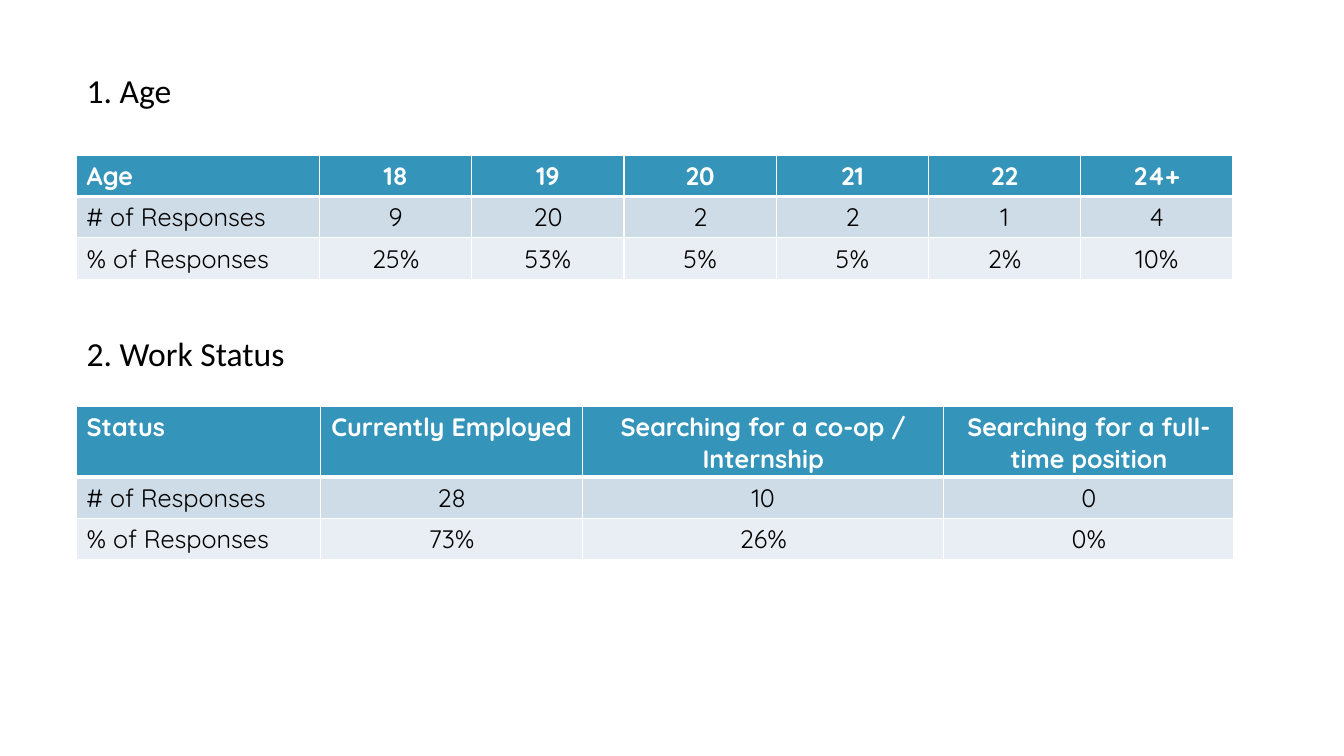
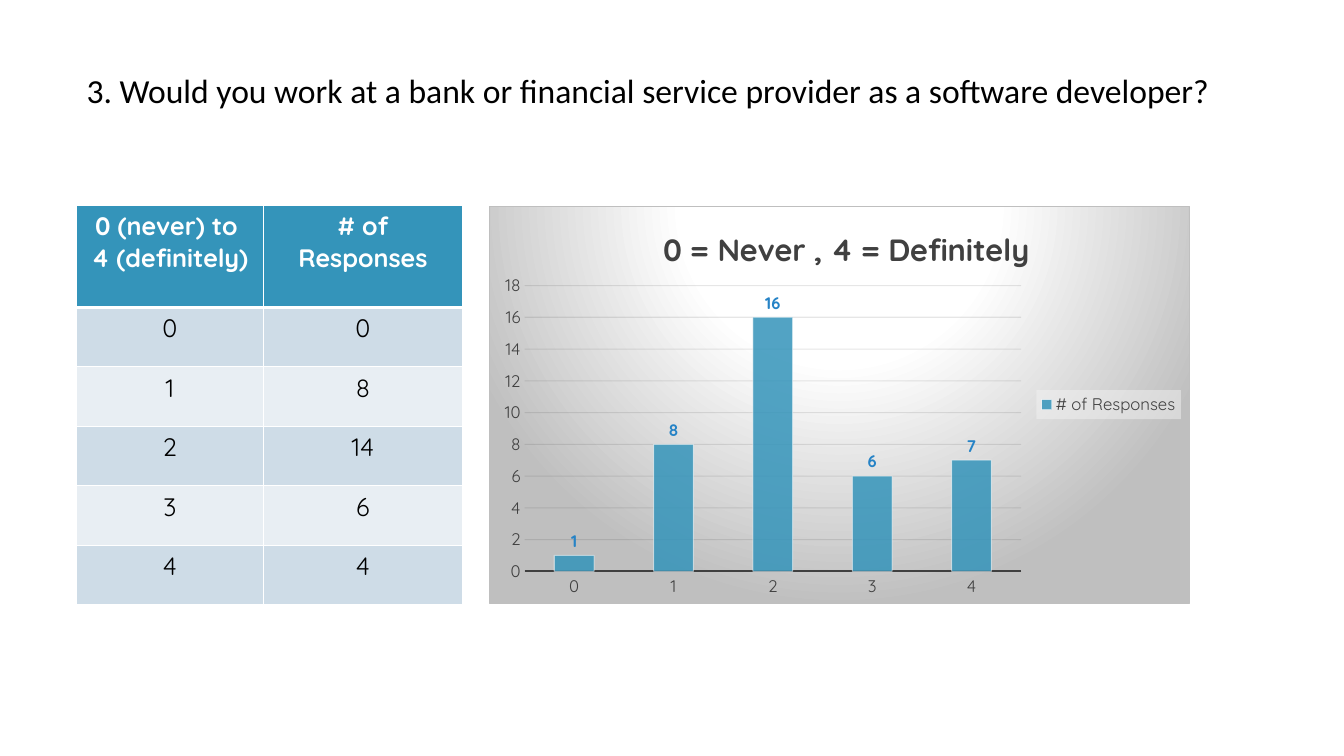
import dataclasses
import pptx
import pptx.chart.data
import pptx.dml.color
import pptx.enum.chart
import pptx.enum.text
import pptx.oxml
import pptx.oxml.ns
import pptx.util

ALIGN = pptx.enum.text.PP_ALIGN
SCALE = 9144


@dataclasses.dataclass(frozen=True)
class Theme:
    head_face: str = "Calibri"
    face: str = "Quicksand"
    head: int = 24
    cell: int = 18
    title: int = 22
    label: int = 12
    ink: str = "000000"
    gray: str = "404040"
    white: str = "FFFFFF"
    teal: str = "3494BA"
    blue: str = "2683C6"
    silver: str = "BFBFBF"
    grid: str = "0D0D0D"
    pale: str = "F2F2F2"
    bands: tuple = ("CEDCE7", "E8EEF3")


THEME = Theme()


def px(size):
    return pptx.util.Emu(size * SCALE)


def rgb(code):
    return pptx.dml.color.RGBColor.from_string(code)


def style(font, size=THEME.label, color=THEME.gray, bold=False, face=THEME.face):
    font.name = face
    font.size = pptx.util.Pt(size)
    font.bold = bold
    font.color.rgb = rgb(color)


def put(frame, text, align=ALIGN.LEFT, **look):
    frame.text = text
    for para in frame.paragraphs:
        para.alignment = align
        for run in para.runs:
            style(run.font, **look)


def stroke(line, color, width):
    line.color.rgb = rgb(color)
    line.width = pptx.util.Pt(width)


def make(tag, body, attrs=""):
    names = pptx.oxml.ns.nsdecls("a", "c")
    return pptx.oxml.parse_xml(f"<{tag} {names} {attrs}>{body}</{tag}>")


def solid(color, alpha=100):
    return (f'<a:solidFill><a:srgbClr val="{color}">'
            f'<a:alpha val="{alpha * 1000}"/></a:srgbClr></a:solidFill>')


def fade(root, query, alpha):
    for color in root.xpath(query + "//a:srgbClr"):
        color.append(make("a:alpha", "", f'val="{alpha * 1000}"'))


def place(node, index, **spots):
    for old in node.xpath("c:layout"):
        node.remove(old)
    body = '<c:layoutTarget val="inner"/>' if "w" in spots else ""
    body += "".join(f'<c:{side}Mode val="edge"/>' for side in "xy")
    body += "".join(f'<c:{key} val="{value}"/>' for key, value in spots.items())
    node.insert(index, make("c:layout", f"<c:manualLayout>{body}</c:manualLayout>"))


class Deck:
    def __init__(self, theme):
        self.theme = theme
        self.file = pptx.Presentation()
        self.file.slide_width = px(1333)
        self.file.slide_height = px(750)
        self.slide = None

    def start(self):
        self.slide = self.file.slides.add_slide(self.file.slide_layouts[6])

    def heading(self, text, top, width, wrap=False):
        box = self.slide.shapes.add_textbox(px(76), px(top), px(width), px(50))
        frame = box.text_frame
        frame.word_wrap = wrap
        frame.auto_size = pptx.enum.text.MSO_AUTO_SIZE.SHAPE_TO_FIT_TEXT
        put(frame, text, size=self.theme.head, color=self.theme.ink,
            face=self.theme.head_face)

    def cell(self, cell, text, row, align):
        theme = self.theme
        top = row == 0
        cell.fill.solid()
        cell.fill.fore_color.rgb = rgb(theme.teal if top else theme.bands[(row - 1) % 2])
        put(cell.text_frame, text, align=align, size=theme.cell, bold=top,
            color=theme.white if top else theme.ink)
        edges = {"L": 1, "R": 1, "T": 3 if row == 1 else 1, "B": 3 if top else 1}
        props = cell._tc.get_or_add_tcPr()
        for index, (side, width) in enumerate(edges.items()):
            props.insert(index, make(f"a:ln{side}", solid(theme.white),
                                     f'w="{width * 12700}"'))

    def table(self, top, widths, heights, rows, first=ALIGN.LEFT):
        grid = self.slide.shapes.add_table(
            len(rows), len(widths), px(76), px(top),
            px(sum(widths)), px(sum(heights))).table
        for col, width in zip(grid.columns, widths):
            col.width = px(width)
        for row, height in zip(grid.rows, heights):
            row.height = px(height)
        for row, texts in enumerate(rows):
            for col, text in enumerate(texts):
                self.cell(grid.cell(row, col), text, row,
                          ALIGN.CENTER if col else first)

    def bars(self, box, title, name, cats, values):
        theme, enum = self.theme, pptx.enum.chart
        data = pptx.chart.data.CategoryChartData()
        data.categories = cats
        data.add_series(name, values)
        chart = self.slide.shapes.add_chart(
            enum.XL_CHART_TYPE.COLUMN_CLUSTERED, *map(px, box), data).chart
        style(chart.font, size=10, color=theme.ink)
        put(chart.chart_title.text_frame, title, align=ALIGN.CENTER,
            size=theme.title, color=theme.gray, bold=True)
        chart.has_legend = True
        chart.legend.position = enum.XL_LEGEND_POSITION.RIGHT
        chart.legend.include_in_layout = False
        style(chart.legend.font)
        for axis in (chart.category_axis, chart.value_axis):
            axis.major_tick_mark = enum.XL_TICK_MARK.NONE
            axis.minor_tick_mark = enum.XL_TICK_MARK.NONE
            style(axis.tick_labels.font)
        stroke(chart.category_axis.format.line, theme.gray, 1.5)
        scale = chart.value_axis
        scale.minimum_scale, scale.maximum_scale, scale.major_unit = 0, 18, 2
        scale.format.line.fill.background()
        stroke(scale.major_gridlines.format.line, theme.grid, 0.75)
        plot = chart.plots[0]
        plot.gap_width = 150
        plot.vary_by_categories = False
        bar = plot.series[0]
        bar.format.fill.solid()
        bar.format.fill.fore_color.rgb = rgb(theme.teal)
        stroke(bar.format.line, theme.white, 0.75)
        labels = bar.data_labels
        labels.show_value = True
        labels.position = enum.XL_LABEL_POSITION.OUTSIDE_END
        style(labels.font, color=theme.blue, bold=True)
        self.finish(chart.element)

    def finish(self, root):
        theme = self.theme
        fade(root, "//c:ser/c:spPr/a:solidFill", 85)
        fade(root, "//c:ser/c:spPr/a:ln", 50)
        fade(root, "//c:majorGridlines", 10)
        place(root.xpath("c:chart/c:title")[0], 1, x=0.24, y=0.04)
        place(root.xpath("c:chart/c:plotArea")[0], 0, x=0.05, y=0.2, w=0.71, h=0.72)
        root.xpath("//c:legend/c:txPr")[0].addprevious(
            make("c:spPr", solid(theme.pale, 50)))
        stops = "".join(
            f'<a:gs pos="{spot * 1000}"><a:srgbClr val="{color}"/></a:gs>'
            for spot, color in ((0, theme.white), (39, theme.white), (100, theme.silver)))
        back = (f'<a:gradFill><a:gsLst>{stops}</a:gsLst><a:path path="circle">'
                '<a:fillToRect l="50000" t="-80000" r="50000" b="180000"/>'
                f'</a:path></a:gradFill><a:ln w="9525">{solid(theme.silver)}</a:ln>')
        root.xpath("c:chart")[0].addnext(make("c:spPr", back))


def main():
    deck = Deck(THEME)
    deck.start()
    deck.heading("1. Age", 64, 105)
    deck.heading("2. Work Status", 325, 218)
    deck.table(154, [241] + [151] * 6, [41] * 3, [
        ("Age", "18", "19", "20", "21", "22", "24+"),
        ("# of Responses", "9", "20", "2", "2", "1", "4"),
        ("% of Responses", "25%", "53%", "5%", "5%", "2%", "10%"),
    ])
    deck.table(403, [242, 260, 358, 288], [70, 41, 41], [
        ("Status", "Currently Employed", "Searching for a co-op / Internship",
         "Searching for a full-time position"),
        ("# of Responses", "28", "10", "0"),
        ("% of Responses", "73%", "26%", "0%"),
    ])
    deck.start()
    deck.heading("3. Would you work at a bank or financial service provider "
                 "as a software developer?", 64, 1148, wrap=True)
    deck.table(204, [185, 198], [101] + [59] * 5, [
        ("0 (never) to \v4 (definitely)", "# of Responses"),
        ("0", "0"), ("1", "8"), ("2", "14"), ("3", "6"), ("4", "4"),
    ], first=ALIGN.CENTER)
    deck.bars((485, 204, 695, 395), "0 = Never , 4 = Definitely",
              "# of Responses", ("0", "1", "2", "3", "4"), (1, 8, 16, 6, 7))
    deck.file.save("out.pptx")


if __name__ == "__main__":
    main()
